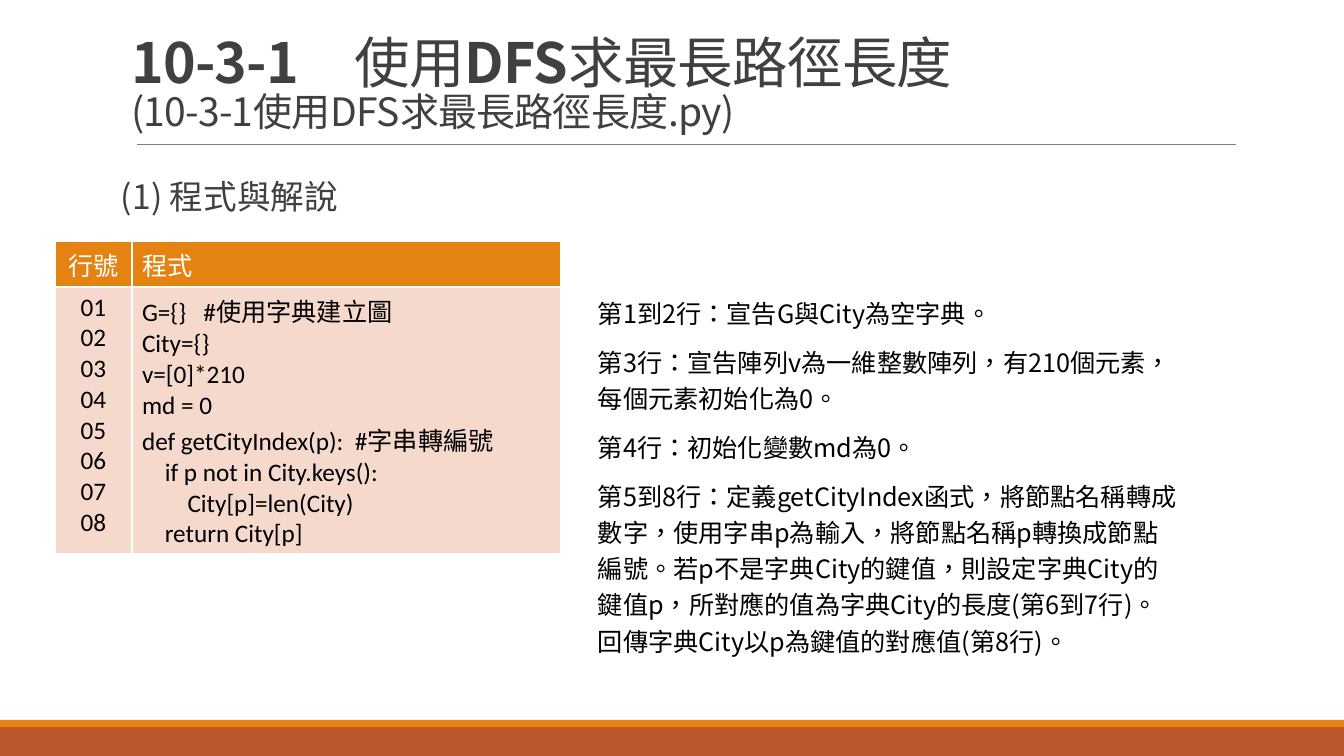
import pptx
import pptx.util
import pptx.dml.color
import pptx.enum.text
import pptx.enum.shapes
import pptx.oxml.ns
import lxml.etree
from dataclasses import dataclass

TITLE_LINES = [
    [("10-3-1　", True), ("使用", False), ("DFS", True), ("求最長路徑長度", False)],
    [("(10-3-1使用DFS求最長路徑長度.py)", False)],
]
SUBTITLE = "(1) 程式與解說"
HEADINGS = ["行號", "程式"]
CODE = [
    "G={}   #使用字典建立圖",
    "City={}",
    "v=[0]*210",
    "md = 0",
    "def getCityIndex(p):  #字串轉編號",
    "    if p not in City.keys():",
    "        City[p]=len(City)",
    "    return City[p]",
]
NOTES = [
    "第1到2行：宣告G與City為空字典。",
    "第3行：宣告陣列v為一維整數陣列，有210個元素，每個元素初始化為0。",
    "第4行：初始化變數md為0。",
    "第5到8行：定義getCityIndex函式，將節點名稱轉成數字，使用字串p為輸入，"
    "將節點名稱p轉換成節點編號。若p不是字典City的鍵值，則設定字典City的鍵值p，"
    "所對應的值為字典City的長度(第6到7行)。回傳字典City以p為鍵值的對應值(第8行)。",
]
COLUMNS = [77, 429]
ROWS = [46, 267]


@dataclass(frozen=True)
class Theme:
    orange: str = "E48312"
    rust: str = "BD582C"
    blush: str = "F5D9CC"
    grey: str = "808080"
    ink: str = "404040"
    black: str = "000000"
    white: str = "FFFFFF"
    title_sizes: tuple = (39.6, 27.9)
    subtitle_size: float = 24
    text_size: float = 18
    cjk: str = "Noto Sans CJK SC"
    latin: str = "Calibri"
    language: str = "zh-TW"


theme = Theme()
qn = pptx.oxml.ns.qn
ALIGN = pptx.enum.text.PP_ALIGN


def px(length):
    return pptx.util.Emu(round(length * 914400 / 100.8))


def frame(*lengths):
    return [px(length) for length in lengths]


def rgb(value):
    return pptx.dml.color.RGBColor.from_string(value)


def add_span(para, text, *, size, color, font=theme.cjk, bold=False, tracking=None):
    span = para.add_run()
    span.text = text
    span.font.size = pptx.util.Pt(size)
    span.font.bold = bold
    span.font.name = font
    span.font.color.rgb = rgb(color)
    properties = span.font._element
    properties.set("lang", theme.language)
    east_asian = lxml.etree.SubElement(properties, qn("a:ea"))
    east_asian.set("typeface", theme.cjk)
    if tracking is not None:
        properties.set("spc", str(round(tracking * 100)))


def write(text_frame, lines, *, align=ALIGN.LEFT, leading=1.0, before=0, after=0, **style):
    text_frame.word_wrap = True
    for index, line in enumerate(lines):
        para = text_frame.add_paragraph() if index else text_frame.paragraphs[0]
        para.alignment = align
        para.line_spacing = leading
        para.space_before = pptx.util.Pt(before if index else 0)
        para.space_after = pptx.util.Pt(after)
        add_span(para, line, **style)


def add_band(page, top, height, color):
    band = page.shapes.add_shape(
        pptx.enum.shapes.MSO_SHAPE.RECTANGLE, *frame(0, top, 1344, height))
    band.shadow.inherit = False
    band.fill.solid()
    band.fill.fore_color.rgb = rgb(color)
    band.line.fill.background()


def add_rule(page):
    rule = page.shapes.add_connector(
        pptx.enum.shapes.MSO_CONNECTOR.STRAIGHT, *frame(137, 144, 1236, 144))
    rule.line.color.rgb = rgb(theme.grey)
    rule.line.width = pptx.util.Pt(0.5)
    lxml.etree.SubElement(rule._element.spPr, qn("a:effectLst"))


def fill_title(title):
    title.left, title.top, title.width, title.height = frame(121, 31, 1109, 109)
    title.text_frame.word_wrap = True
    title.text_frame.auto_size = pptx.enum.text.MSO_AUTO_SIZE.NONE
    title.text_frame.vertical_anchor = pptx.enum.text.MSO_ANCHOR.BOTTOM
    para = title.text_frame.paragraphs[0]
    para.alignment = ALIGN.LEFT
    para.line_spacing = 0.85
    for index, (spans, size) in enumerate(zip(TITLE_LINES, theme.title_sizes)):
        if index:
            para.add_line_break()
            line_break = para._p.find(qn("a:br"))
            lxml.etree.SubElement(line_break, qn("a:rPr")).set("sz", str(round(size * 100)))
        for text, bold in spans:
            add_span(para, text, size=size, color=theme.ink, bold=bold, tracking=-0.5)


def add_code_table(page):
    numbers = [f"{number:02}" for number in range(1, len(CODE) + 1)]
    contents = [[[heading] for heading in HEADINGS], [numbers, CODE]]
    looks = [(theme.orange, theme.white), (theme.blush, theme.black)]
    table = page.shapes.add_table(
        len(ROWS), len(COLUMNS), *frame(55, 241, sum(COLUMNS), sum(ROWS))).table
    for column, width in zip(table.columns, COLUMNS):
        column.width = px(width)
    for row, height, cells, (fill, color) in zip(table.rows, ROWS, contents, looks):
        row.height = px(height)
        for cell, lines, align in zip(row.cells, cells, (ALIGN.CENTER, ALIGN.LEFT)):
            cell.fill.solid()
            cell.fill.fore_color.rgb = rgb(fill)
            write(cell.text_frame, lines, align=align, size=theme.text_size,
                  color=color, font=theme.latin)


def main():
    deck = pptx.Presentation()
    deck.slide_width, deck.slide_height = frame(1344, 756)
    page = deck.slides.add_slide(deck.slide_layouts[5])
    add_band(page, 727, 29, theme.rust)
    add_band(page, 720, 7, theme.orange)
    add_rule(page)
    fill_title(page.shapes.title)

    subtitle = page.shapes.add_textbox(*frame(121, 151, 1109, 80)).text_frame
    subtitle.margin_left = subtitle.margin_right = 0
    write(subtitle, [SUBTITLE], leading=1.5, after=3,
          size=theme.subtitle_size, color=theme.ink)

    add_code_table(page)

    notes = page.shapes.add_textbox(*frame(588, 287, 602, 411)).text_frame
    write(notes, NOTES, leading=1.2, before=6, after=3,
          size=theme.text_size, color=theme.black)
    deck.save("out.pptx")


if __name__ == "__main__":
    main()
